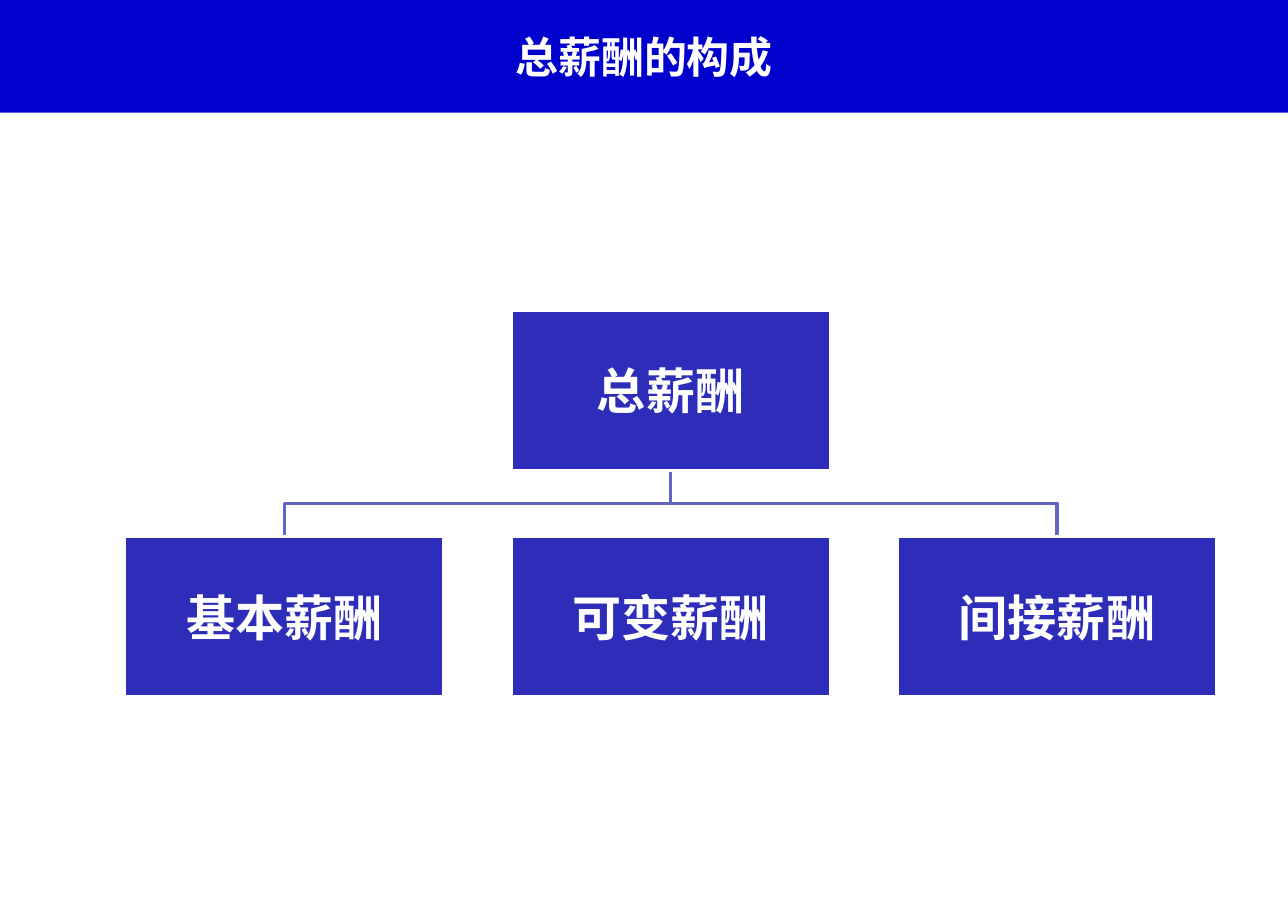
from dataclasses import dataclass

import lxml.etree
import pptx
import pptx.dml.color
import pptx.enum.shapes
import pptx.enum.text
import pptx.oxml.ns
import pptx.util

Inches = pptx.util.Inches
Pt = pptx.util.Pt


@dataclass(frozen=True)
class Theme:
    banner: str = "0000CC"
    box: str = "2D2DB9"
    link: str = "6464C2"
    white: str = "FFFFFF"
    title_size: int = 28
    box_size: int = 32
    line_width: int = 2
    cjk_font: str = "Noto Sans CJK SC"
    box_font: str = "Times New Roman"


THEME = Theme()
SLIDE_W, SLIDE_H = Pt(840), Pt(600)
BANNER_H = Inches(1.02)
BOX_W, BOX_H = Inches(2.89), Inches(1.45)
GRID_LEFT, GRID_TOP = Inches(1.13), Inches(2.81)
COL_PITCH, ROW_PITCH = Inches(3.5), Inches(2.05)
ROOT = "总薪酬"
ROOT_COL = 1
PARTS = ["基本薪酬", "可变薪酬", "间接薪酬"]


def rgb(value):
    return pptx.dml.color.RGBColor.from_string(value)


def cell(col, row):
    """Return the left and top of a chart box."""
    return GRID_LEFT + col * COL_PITCH, GRID_TOP + row * ROW_PITCH


def add_label(sp, text, size, font):
    tf = sp.text_frame
    tf.word_wrap = True
    tf.vertical_anchor = pptx.enum.text.MSO_ANCHOR.MIDDLE
    tf.margin_left = tf.margin_right = tf.margin_top = tf.margin_bottom = Inches(0.02)
    p = tf.paragraphs[0]
    p.text = text
    p.alignment = pptx.enum.text.PP_ALIGN.CENTER
    p.font.name = font
    p.font.size = Pt(size)
    p.font.bold = True
    p.font.color.rgb = rgb(THEME.white)
    qn = pptx.oxml.ns.qn
    props = p._p.get_or_add_pPr().find(qn("a:defRPr"))
    lxml.etree.SubElement(props, qn("a:ea"), typeface=THEME.cjk_font)


def add_rect(slide, left, top, width, height, fill):
    sp = slide.shapes.add_shape(
        pptx.enum.shapes.MSO_SHAPE.RECTANGLE, left, top, width, height)
    sp.shadow.inherit = False
    sp.fill.solid()
    sp.fill.fore_color.rgb = rgb(fill)
    return sp


def set_line(sp, color):
    sp.line.color.rgb = rgb(color)
    sp.line.width = Pt(THEME.line_width)


def add_banner(slide, text):
    sp = add_rect(slide, 0, 0, SLIDE_W, BANNER_H, THEME.banner)
    sp.line.fill.background()
    add_label(sp, text, THEME.title_size, THEME.cjk_font)


def add_box(slide, text, col, row):
    sp = add_rect(slide, *cell(col, row), BOX_W, BOX_H, THEME.box)
    set_line(sp, THEME.white)
    add_label(sp, text, THEME.box_size, THEME.box_font)


def add_link(slide, col):
    """Draw the elbow from the root box down to a box of the second row."""
    root_left, root_top = cell(ROOT_COL, 0)
    left, end_y = cell(col, 1)
    start_x, end_x = root_left + BOX_W // 2, left + BOX_W // 2
    start_y = root_top + BOX_H
    mid_y = (start_y + end_y) // 2
    builder = slide.shapes.build_freeform(start_x, start_y)
    builder.add_line_segments(
        [(start_x, mid_y), (end_x, mid_y), (end_x, end_y)], close=False)
    sp = builder.convert_to_shape()
    sp.shadow.inherit = False
    sp.fill.background()
    set_line(sp, THEME.link)


def main():
    prs = pptx.Presentation()
    prs.slide_width, prs.slide_height = SLIDE_W, SLIDE_H
    slide = prs.slides.add_slide(prs.slide_layouts[6])
    add_banner(slide, "总薪酬的构成")
    for col in (0, 2):
        add_link(slide, col)
    add_box(slide, ROOT, ROOT_COL, 0)
    for col, part in enumerate(PARTS):
        add_box(slide, part, col, 1)
    prs.save("out.pptx")


if __name__ == "__main__":
    main()
